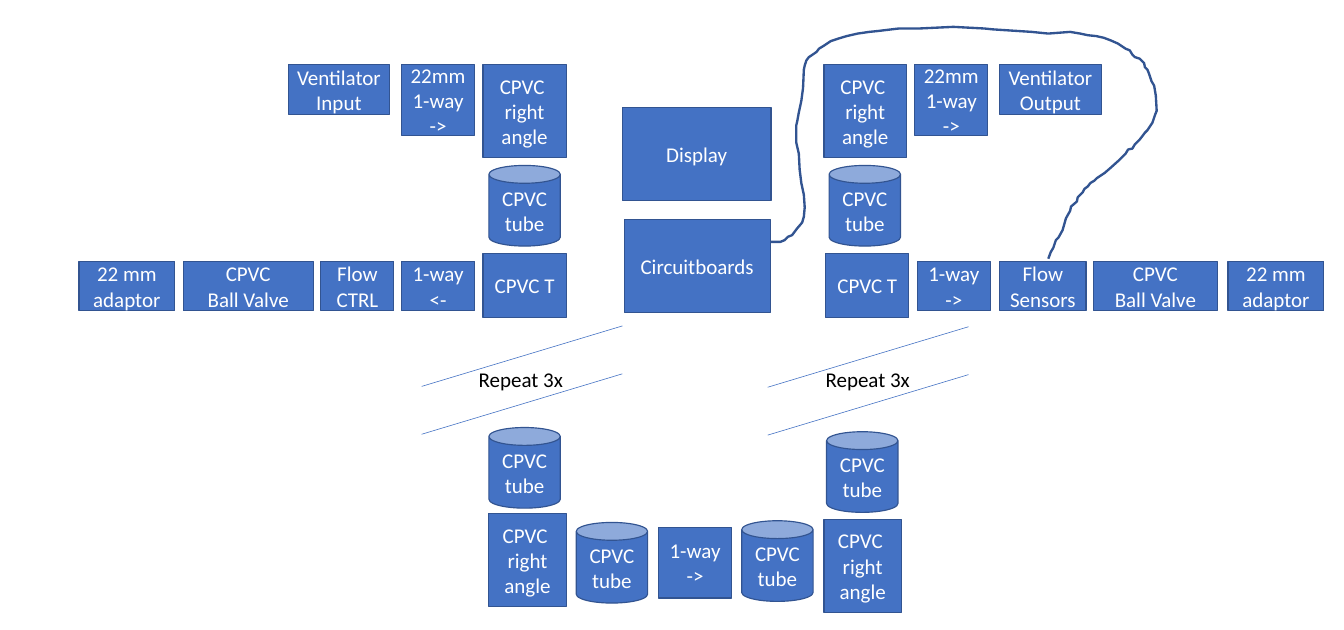
from lxml.etree import SubElement
from pptx import Presentation
from pptx.dml.color import RGBColor
from pptx.enum.shapes import MSO_CONNECTOR, MSO_SHAPE
from pptx.enum.text import MSO_ANCHOR, MSO_AUTO_SIZE, PP_ALIGN
from pptx.oxml.ns import qn
from pptx.util import Inches, Pt

BLUE = RGBColor(0x44, 0x72, 0xC4)
DARK_BLUE = RGBColor(0x32, 0x54, 0x91)
WHITE = RGBColor(0xFF, 0xFF, 0xFF)
BLACK = RGBColor(0, 0, 0)

RIGHT_ANGLE = "CPVC \nright angle"
TUBE = "CPVC tube"
BALL_VALVE = "CPVC\nBall Valve"
ADAPTOR = "22 mm adaptor"
ONE_WAY_22 = "22mm\v1-way ->"

# Rows of equal top and height: (top, height, [(left, width, label), ...])
BOX_ROWS = [
    (0.77, 0.59, [(3.43, 1.21, "Ventilator Input"), (11.9, 1.21, "Ventilator Output")]),
    (0.77, 0.84, [(4.78, 0.87, ONE_WAY_22), (10.89, 0.87, ONE_WAY_22)]),
    (0.77, 1.11, [(5.75, 0.99, RIGHT_ANGLE), (9.81, 0.98, RIGHT_ANGLE)]),
    (3.02, 0.76, [(5.75, 0.99, "CPVC T"), (9.83, 0.99, "CPVC T")]),
    (3.11, 0.59, [
        (0.94, 1.14, ADAPTOR), (2.18, 1.55, BALL_VALVE),
        (3.82, 0.87, "Flow CTRL"), (4.78, 0.87, "1-way\n<-"),
        (10.92, 0.87, "1-way\n->"), (11.9, 1.03, "Flow Sensors"),
        (13.02, 1.47, BALL_VALVE), (14.62, 1.14, ADAPTOR),
    ]),
    (1.28, 1.11, [(7.41, 1.77, "Display")]),
    (2.61, 1.11, [(7.43, 1.74, "Circuitboards")]),
    (6.11, 1.11, [(5.82, 0.92, RIGHT_ANGLE)]),
    (6.18, 1.11, [(9.81, 0.92, RIGHT_ANGLE)]),
    (6.28, 0.84, [(7.84, 0.87, "1-way ->")]),
]
TUBE_SIZE = (0.85, 0.96)
TUBE_POSITIONS = [(5.82, 1.97), (9.87, 1.97), (5.82, 5.09), (9.84, 5.14),
                  (6.86, 6.22), (8.83, 6.2)]
REPEAT_MARKS = [(5.02, 3.88, 5.6), (9.14, 3.89, 9.73)]  # line left, top, label left

SENSOR_CABLE = [
    (12.48, 3.08), (12.51, 3), (12.54, 2.95), (12.57, 2.86), (12.6, 2.83),
    (12.65, 2.74), (12.69, 2.6), (12.74, 2.51), (12.75, 2.46), (12.82, 2.4),
    (12.83, 2.35), (12.89, 2.29), (12.91, 2.25), (12.95, 2.22), (12.98, 2.18),
    (13.03, 2.15), (13.06, 2.12), (13.15, 2.06), (13.22, 2), (13.32, 1.91),
    (13.4, 1.83), (13.43, 1.78), (13.48, 1.77), (13.51, 1.72), (13.57, 1.66),
    (13.63, 1.58), (13.66, 1.55), (13.72, 1.46), (13.75, 1.37), (13.77, 1.32),
    (13.76, 1.14), (13.74, 1.02), (13.71, 0.97), (13.68, 0.88), (13.66, 0.83),
    (13.63, 0.8), (13.62, 0.75), (13.57, 0.7), (13.51, 0.68), (13.48, 0.65),
    (13.45, 0.6), (13.4, 0.58), (13.31, 0.52), (13.22, 0.48), (13.14, 0.45),
    (13.05, 0.43), (12.95, 0.42), (12.86, 0.4), (12.74, 0.38), (12.48, 0.4),
    (12.28, 0.38), (11.82, 0.35), (11.72, 0.34), (11.35, 0.32), (10.94, 0.34),
    (10.7, 0.34), (10.45, 0.37), (10.35, 0.38), (10.21, 0.4), (10.08, 0.43),
    (9.98, 0.46), (9.89, 0.49), (9.8, 0.55), (9.75, 0.58), (9.72, 0.62),
    (9.63, 0.68), (9.6, 0.72), (9.58, 0.78), (9.57, 0.83), (9.56, 1.05),
    (9.54, 1.2), (9.51, 1.34), (9.49, 1.45), (9.48, 1.49), (9.48, 1.7),
    (9.51, 1.83), (9.52, 2.02), (9.54, 2.18), (9.57, 2.32), (9.58, 2.47),
    (9.57, 2.58), (9.55, 2.65), (9.49, 2.72), (9.43, 2.8), (9.38, 2.82),
    (9.34, 2.86), (9.29, 2.88), (9.18, 2.88),
]


def format_text(text_frame, label, color, alignment):
    text_frame.text = label
    for paragraph in text_frame.paragraphs:
        paragraph.alignment = alignment
        paragraph.font.size = Pt(18)
        paragraph.font.name = "Calibri"
        paragraph.font.color.rgb = color


def add_part(slide, kind, left, top, width, height, label):
    """Add one labelled component of the circuit."""
    shape = slide.shapes.add_shape(
        kind, Inches(left), Inches(top), Inches(width), Inches(height))
    shape.shadow.inherit = False
    shape.fill.solid()
    shape.fill.fore_color.rgb = BLUE
    shape.line.color.rgb = DARK_BLUE
    shape.line.width = Pt(1)
    shape.text_frame.word_wrap = True
    shape.text_frame.vertical_anchor = MSO_ANCHOR.MIDDLE
    format_text(shape.text_frame, label, WHITE, PP_ALIGN.CENTER)


def add_thin_line(slide, left, bottom, right, top):
    line = slide.shapes.add_connector(
        MSO_CONNECTOR.STRAIGHT,
        Inches(left), Inches(bottom), Inches(right), Inches(top))
    line.line.color.rgb = BLUE
    line.line.width = Pt(0.5)
    SubElement(line._element.spPr, qn("a:effectLst"))


def add_repeat_mark(slide, left, top, label_left):
    """Add two parallel slanted lines with the repeat count between them."""
    for line_top in (top, top + 0.57):
        add_thin_line(slide, left, line_top + 0.72, left + 2.39, line_top)
    text_box = slide.shapes.add_textbox(
        Inches(label_left), Inches(top + 0.43), Inches(1.22), Inches(0.4))
    text_box.text_frame.word_wrap = False
    text_box.text_frame.auto_size = MSO_AUTO_SIZE.SHAPE_TO_FIT_TEXT
    format_text(text_box.text_frame, "Repeat 3x", BLACK, PP_ALIGN.LEFT)


def add_cable(slide, points):
    start, *rest = [(Inches(x), Inches(y)) for x, y in points]
    builder = slide.shapes.build_freeform(*start)
    builder.add_line_segments(rest, close=False)
    cable = builder.convert_to_shape()
    cable.shadow.inherit = False
    cable.fill.background()
    cable.line.color.rgb = DARK_BLUE
    cable.line.width = Pt(2)


def main():
    presentation = Presentation()
    presentation.slide_width = Inches(16)
    presentation.slide_height = Inches(7.5)
    slide = presentation.slides.add_slide(presentation.slide_layouts[6])

    for top, height, boxes in BOX_ROWS:
        for left, width, label in boxes:
            add_part(slide, MSO_SHAPE.RECTANGLE, left, top, width, height, label)
    for left, top in TUBE_POSITIONS:
        add_part(slide, MSO_SHAPE.CAN, left, top, *TUBE_SIZE, TUBE)
    add_cable(slide, SENSOR_CABLE)
    for mark in REPEAT_MARKS:
        add_repeat_mark(slide, *mark)

    presentation.save("out.pptx")


if __name__ == "__main__":
    main()
